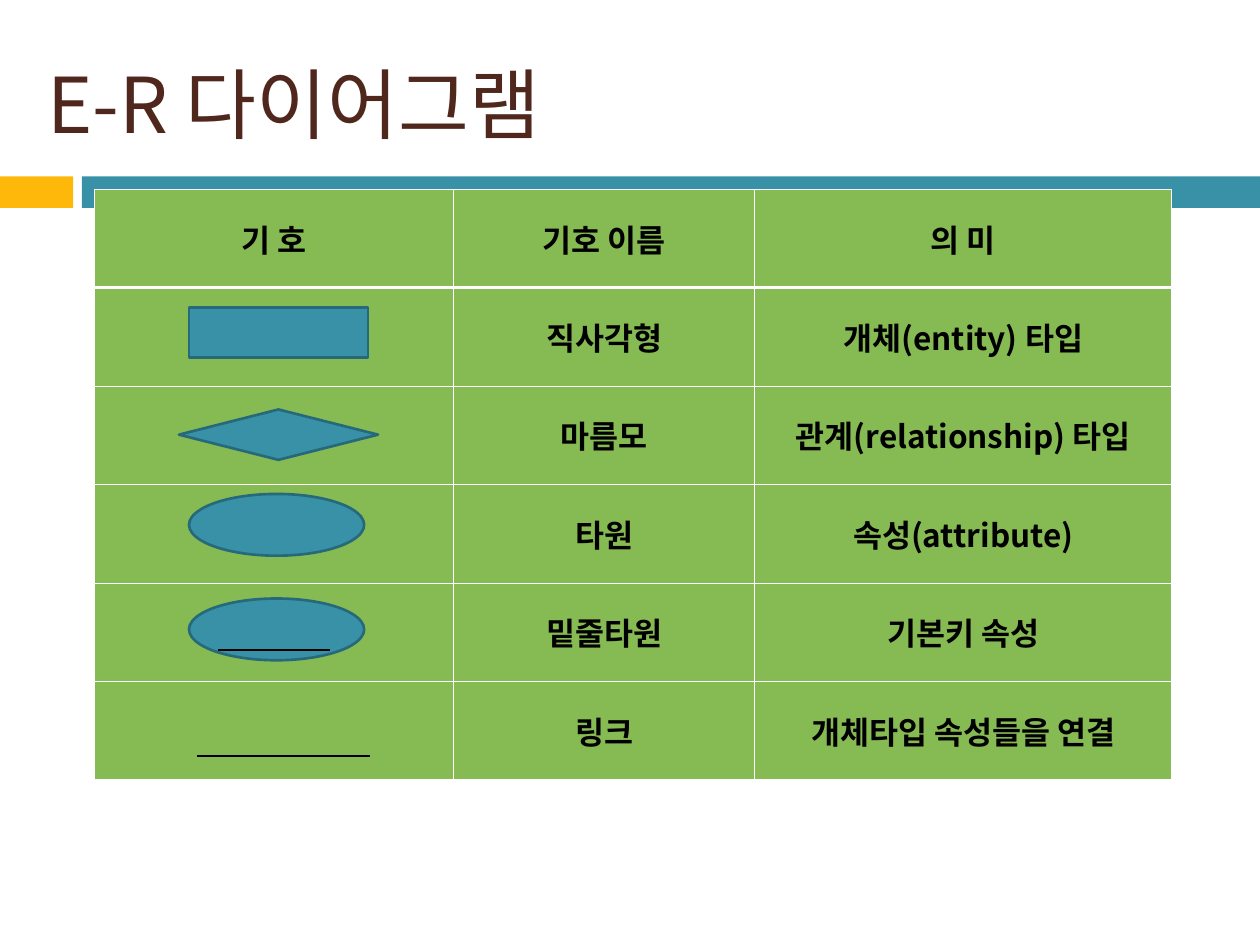
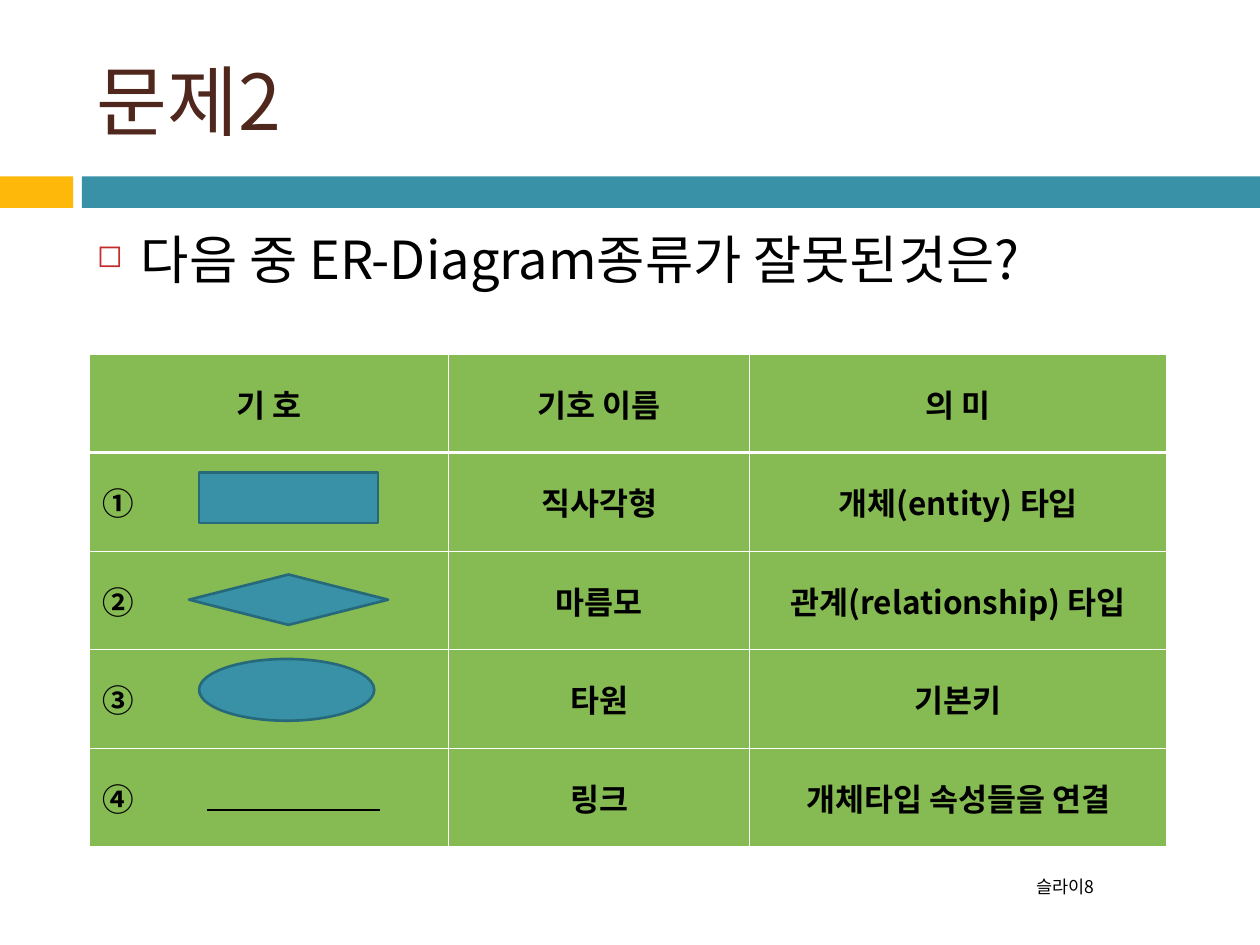
import pptx
import pptx.util
import pptx.dml.color
import pptx.enum.shapes
import pptx.enum.text
import pptx.oxml
import pptx.oxml.ns

Inches = pptx.util.Inches
Pt = pptx.util.Pt
RGBColor = pptx.dml.color.RGBColor
Shape = pptx.enum.shapes.MSO_SHAPE
Line = pptx.enum.shapes.MSO_CONNECTOR
Align = pptx.enum.text.PP_ALIGN
Anchor = pptx.enum.text.MSO_ANCHOR

FONT = "Noto Sans CJK KR"
BLACK = RGBColor(0x00, 0x00, 0x00)
WHITE = RGBColor(0xFF, 0xFF, 0xFF)
BROWN = RGBColor(0x4F, 0x27, 0x1C)
AMBER = RGBColor(0xFE, 0xB8, 0x0A)
TEAL = RGBColor(0x38, 0x91, 0xA7)
EDGE = RGBColor(0x26, 0x69, 0x7A)
GREEN = RGBColor(0x86, 0xBA, 0x52)
RED = RGBColor(0xC3, 0x2D, 0x2E)

COLS = (2.85, 2.39, 3.31)
HEAD = ("기 호", "기호 이름", "의 미")
THIN, THICK = 0.45, 1.47


def node(tag, inner="", attrs=""):
    return pptx.oxml.parse_xml(
        f'<a:{tag} {pptx.oxml.ns.nsdecls("a")} {attrs}>{inner}</a:{tag}>')


class Deck:
    def __init__(self):
        self.file = pptx.Presentation()
        self.file.slide_width = Inches(10)
        self.file.slide_height = Inches(7.5)
        self.slide = None

    def start(self):
        self.slide = self.file.slides.add_slide(self.file.slide_layouts[6])
        self.shape(Shape.RECTANGLE, 0, 1.4, 0.58, 0.25, AMBER)
        self.shape(Shape.RECTANGLE, 0.65, 1.4, 9.35, 0.25, TEAL)

    def style(self, para, size, color, bold=False):
        for run in para.runs:
            font = run.font
            font.name, font.size, font.bold = FONT, Pt(size), bold
            font.color.rgb = color
            font.fill._xPr.find(pptx.oxml.ns.qn("a:latin")).addnext(
                node("ea", attrs=f'typeface="{FONT}"'))

    def shape(self, kind, left, top, width, height, fill, edge=None):
        item = self.slide.shapes.add_shape(
            kind, Inches(left), Inches(top), Inches(width), Inches(height))
        item.shadow.inherit = False
        item.fill.solid()
        item.fill.fore_color.rgb = fill
        if edge is None:
            item.line.fill.background()
        else:
            item.line.color.rgb = edge
            item.line.width = Pt(1.5)

    def line(self, left, top, width):
        item = self.slide.shapes.add_connector(
            Line.STRAIGHT, Inches(left), Inches(top), Inches(left + width), Inches(top))
        item.line.color.rgb = BLACK
        item.line.width = Pt(0.79)
        item._element.spPr.append(node("effectLst"))

    def text(self, words, box, size, color=BLACK, anchor=Anchor.TOP, wrap=True):
        item = self.slide.shapes.add_textbox(*map(Inches, box))
        frame = item.text_frame
        frame.text = words
        frame.word_wrap = wrap
        frame.vertical_anchor = anchor
        para = frame.paragraphs[0]
        self.style(para, size, color)
        return para

    def title(self, words, box):
        self.text(words, box, 44, BROWN, Anchor.MIDDLE)

    def bullet(self, words, box):
        para = self.text(words, box, 30)
        props = para._p.get_or_add_pPr()
        props.set("marL", str(Inches(0.35)))
        props.set("indent", str(-Inches(0.35)))
        props.append(node("buClr", f'<a:srgbClr val="{RED}"/>'))
        props.append(node("buSzPct", attrs='val="60000"'))
        props.append(node("buChar", attrs='char="◻"'))

    def border(self, cell, row):
        props = cell._tc.get_or_add_tcPr()
        for side in "LRTB":
            thick = (row, side) in ((0, "B"), (1, "T"))
            width = Pt(THICK if thick else THIN)
            props.append(node(
                f"ln{side}",
                f'<a:solidFill><a:srgbClr val="{WHITE}"/></a:solidFill>',
                f'w="{width}"'))

    def table(self, left, top, height, body):
        rows = [HEAD, *body]
        grid = self.slide.shapes.add_table(
            len(rows), len(COLS), Inches(left), Inches(top),
            Inches(sum(COLS)), Inches(height)).table
        grid.first_row = grid.horz_banding = False
        for col, width in enumerate(COLS):
            grid.columns[col].width = Inches(width)
        for row, words in enumerate(rows):
            for col, word in enumerate(words):
                cell = grid.cell(row, col)
                self.border(cell, row)
                cell.fill.solid()
                cell.fill.fore_color.rgb = GREEN
                cell.vertical_anchor = Anchor.MIDDLE
                cell.text_frame.text = word
                para = cell.text_frame.paragraphs[0]
                para.alignment = Align.LEFT if row and not col else Align.CENTER
                self.style(para, 18, BLACK, True)

    def oval(self, left, top):
        self.shape(Shape.OVAL, left, top, 1.39, 0.49, TEAL, EDGE)

    def signs(self, left, box, gem, oval, link):
        self.shape(Shape.FLOWCHART_PROCESS, left, box, 1.42, 0.4, TEAL, EDGE)
        self.shape(Shape.FLOWCHART_DECISION, left - 0.08, gem, 1.58, 0.4, TEAL, EDGE)
        self.oval(left, oval)
        self.line(left + 0.06, link, 1.38)


def main():
    deck = Deck()
    entity = ("직사각형", "개체(entity) 타입")
    relation = ("마름모", "관계(relationship) 타입")
    link = ("링크", "개체타입 속성들을 연결")

    deck.start()
    deck.table(0.75, 1.5, 4.69, [
        ("", *entity),
        ("", *relation),
        ("", "타원", "속성(attribute)"),
        ("", "밑줄타원", "기본키 속성"),
        ("", *link),
    ])
    deck.title("E-R 다이어그램", (0.28, 0.44, 8.8, 0.75))
    deck.signs(1.5, 2.44, 3.25, 3.92, 6)
    deck.oval(1.5, 4.75)
    deck.line(1.73, 5.16, 0.89)

    deck.start()
    deck.title("문제2", (0.67, 0.25, 8.92, 1.08))
    deck.bullet("다음 중 ER-Diagram종류가 잘못된것은?", (0.67, 1.75, 8.92, 0.98))
    deck.text("슬라이8", (8.13, 6.9, 0.69, 0.27), 10, wrap=False)
    deck.table(0.71, 2.81, 3.91, [
        ("①", *entity),
        ("②", *relation),
        ("③", "타원", "기본키"),
        ("④", *link),
    ])
    deck.signs(1.58, 3.75, 4.56, 5.23, 6.43)

    deck.file.save("out.pptx")


if __name__ == "__main__":
    main()
